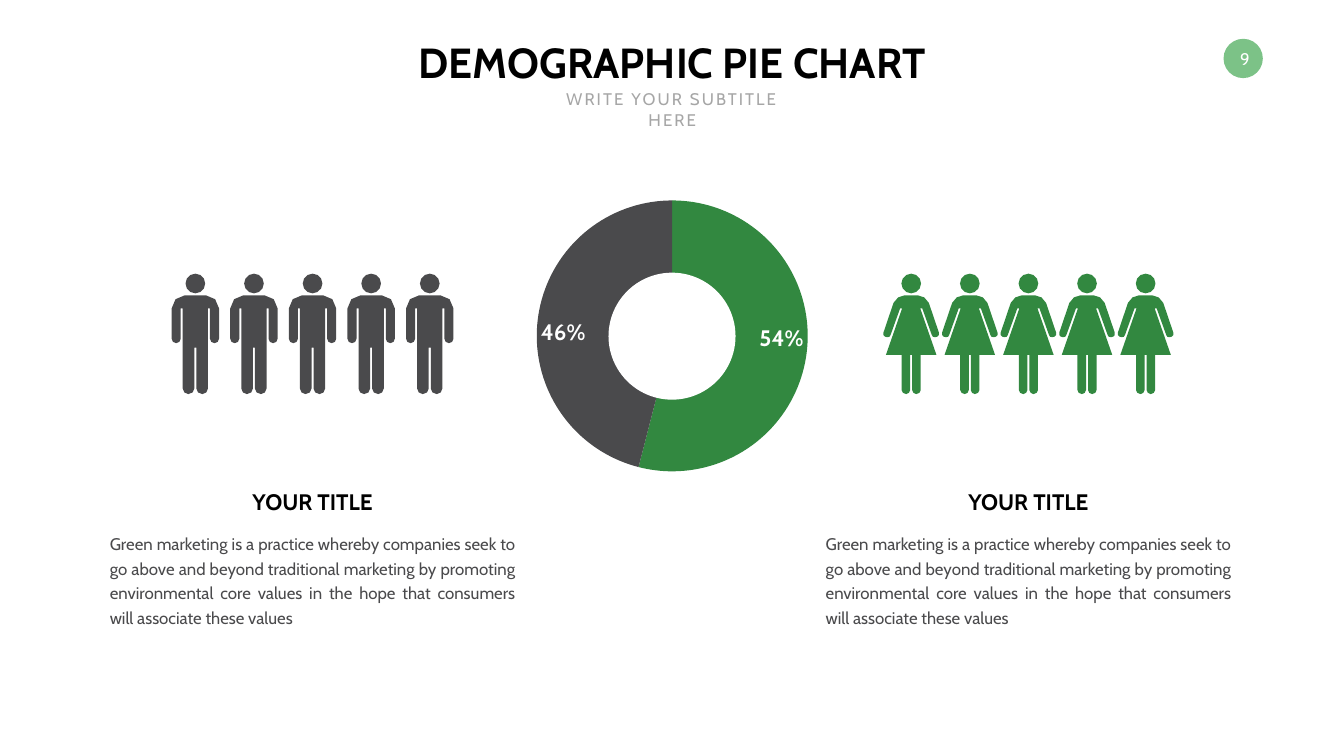
from lxml import etree
from pptx import Presentation
from pptx.chart.data import CategoryChartData
from pptx.dml.color import RGBColor
from pptx.enum.chart import XL_CHART_TYPE as Chart, XL_LABEL_POSITION as LabelPos
from pptx.enum.shapes import MSO_SHAPE as Shape
from pptx.enum.text import MSO_ANCHOR as Anchor, PP_ALIGN as Align
from pptx.oxml import parse_xml
from pptx.oxml.ns import nsdecls, qn
from pptx.util import Inches, Pt

GREEN, GREY, LIGHT_GREEN = "328840", "4A4A4C", "7CC287"
BLACK, WHITE, SILVER = "000000", "FFFFFF", "A6A6A6"
STEP, COUNT, HEAD = 1.1625, 5, .39
BODY = ("Green marketing is a practice whereby companies seek to go above and "
        "beyond traditional marketing by promoting environmental core values in "
        "the hope that consumers will associate these values")

# Right half of each figure, from neck to crotch, in inches from its top centre.
# Two numbers are a line to a point, six a Bezier curve.
MAN = [(.21, .43), (.35, .43, .47, .55, .47, .69), (.47, 1.29),
       (.47, 1.34, .43, 1.38, .38, 1.38), (.33, 1.38, .29, 1.34, .29, 1.29),
       (.29, .69), (.25, .69), (.25, 2.28), (.25, 2.34, .2, 2.39, .14, 2.39),
       (.07, 2.39, .02, 2.34, .02, 2.28), (.02, 1.47)]
WOMAN = [(.13, .43), (.22, .43, .31, .49, .35, .58), (.55, 1.17),
         (.56, 1.2, .55, 1.24, .52, 1.25), (.48, 1.26),
         (.44, 1.27, .42, 1.25, .41, 1.22), (.22, .69), (.18, .69), (.5, 1.61),
         (.19, 1.61), (.19, 2.31), (.19, 2.35, .15, 2.39, .1, 2.39),
         (.06, 2.39, .02, 2.35, .02, 2.31), (.02, 1.61)]


def rgb(value):
    return RGBColor.from_string(value)


def flatten(segments, steps=2):
    """Turn lines and Bezier curves into a list of points."""
    points = []
    for seg in segments:
        if len(seg) == 2:
            points.append(seg)
            continue
        x0, y0 = points[-1]
        x1, y1, x2, y2, x3, y3 = seg
        for i in range(1, steps + 1):
            t = i / steps
            a, b, c, d = (1 - t) ** 3, 3 * t * (1 - t) ** 2, 3 * t * t * (1 - t), t ** 3
            points.append((a * x0 + b * x1 + c * x2 + d * x3,
                           a * y0 + b * y1 + c * y2 + d * y3))
    return points


def mirrored(segments):
    """Close a right half with its reflection about the vertical axis."""
    half = flatten(segments)
    return half + [(-x, y) for x, y in reversed(half)]


class Deck:
    font = "Cabin"

    def __init__(self, width, height):
        self.prs = Presentation()
        self.prs.slide_width, self.prs.slide_height = Inches(width), Inches(height)
        self.s = self.prs.slides.add_slide(self.prs.slide_layouts[6])

    def paint(self, shape, color):
        shape.shadow.inherit = False
        shape.line.fill.background()
        shape.fill.solid()
        shape.fill.fore_color.rgb = rgb(color)

    def circle(self, x, y, size, color, parent=None):
        shapes = (parent or self.s).shapes
        sp = shapes.add_shape(Shape.OVAL, *map(Inches, (x, y, size, size)))
        self.paint(sp, color)

    def text(self, text, box, size, color, bold=False, align=Align.CENTER,
             anchor=Anchor.TOP, wrap=True, leading=None, spacing=None):
        tf = self.s.shapes.add_textbox(*map(Inches, box)).text_frame
        tf.word_wrap = wrap
        tf.vertical_anchor = anchor
        p = tf.paragraphs[0]
        p.text = text
        p.alignment = align
        if leading:
            p.line_spacing = Pt(leading)
        r = p.runs[0]
        r.font.name, r.font.size, r.font.bold = self.font, Pt(size), bold
        r.font.color.rgb = rgb(color)
        if spacing:
            r.font._element.set("spc", str(spacing * 100))

    def people(self, center, top, half, color):
        """Draw a centred row of figures as one group."""
        group = self.s.shapes.add_group_shape()
        for i in range(COUNT):
            x = center + (i - (COUNT - 1) / 2) * STEP
            body = [(Inches(x + dx), Inches(top + dy)) for dx, dy in mirrored(half)]
            outline = group.shapes.build_freeform(*body[0])
            outline.add_line_segments(body[1:])
            self.paint(outline.convert_to_shape(), color)
            self.circle(x - HEAD / 2, top, HEAD, color, group)

    def pie(self, box, values, colors):
        data = CategoryChartData()
        data.categories = [str(i + 1) for i in range(len(values))]
        data.add_series("Series 1", values)
        chart = self.s.shapes.add_chart(Chart.PIE, *map(Inches, box), data).chart
        chart.has_legend = chart.has_title = False
        chart.font.name, chart.font.size, chart.font.bold = self.font, Pt(32), True
        chart.font.color.rgb = rgb(WHITE)
        plot = chart.plots[0]
        plot.vary_by_categories = True
        for i, color in enumerate(colors):
            fmt = plot.series[0].points[i].format
            fmt.fill.solid()
            fmt.fill.fore_color.rgb = rgb(color)
            fmt.line.fill.background()
        plot.has_data_labels = True
        labels = plot.data_labels
        labels.show_percentage, labels.show_value = True, False
        labels.number_format, labels.number_format_is_linked = "0%", False
        labels.position = LabelPos.INSIDE_END
        self.fill_frame(chart)

    def fill_frame(self, chart):
        """Stretch the plot area over the whole chart frame."""
        area = chart._chartSpace.chart.plotArea
        for old in area.findall(qn("c:layout")):
            area.remove(old)
        layout = parse_xml(f"<c:layout {nsdecls('c')}><c:manualLayout/></c:layout>")
        settings = [("layoutTarget", "inner"), ("xMode", "edge"), ("yMode", "edge"),
                    ("x", "0.005"), ("y", "0.005"), ("w", "0.99"), ("h", "0.99")]
        for tag, val in settings:
            etree.SubElement(layout[0], qn(f"c:{tag}")).set("val", val)
        area.insert(0, layout)


def main():
    deck = Deck(26.66, 15)
    deck.circle(24.27, .77, .78, LIGHT_GREEN)
    deck.text("9", (24.35, .83, .69, .69), 24, WHITE, anchor=Anchor.MIDDLE, wrap=False)

    deck.pie((10.62, 3.95, 5.43, 5.43), (54, 46), (GREEN, GREY))
    deck.circle(12.07, 5.41, 2.52, WHITE)

    deck.text("DEMOGRAPHIC PIE CHART", (7.8, .67, 11.06, 1.11), 60, BLACK,
              bold=True, wrap=False)
    deck.text("WRITE YOUR SUBTITLE HERE", (10.62, 1.72, 5.43, .5), 24, SILVER, spacing=3)

    for center, half, color in ((6.2, MAN, GREY), (20.4, WOMAN, GREEN)):
        deck.people(center, 5.43, half, color)
        deck.text("YOUR TITLE", (center - 1.34, 9.63, 2.68, .64), 32, BLACK,
                  bold=True, anchor=Anchor.MIDDLE, wrap=False)
        deck.text(BODY, (center - 4.12, 10.46, 8.24, 2.01), 24, GREY,
                  align=Align.JUSTIFY, leading=35)
    deck.prs.save("out.pptx")


if __name__ == "__main__":
    main()
